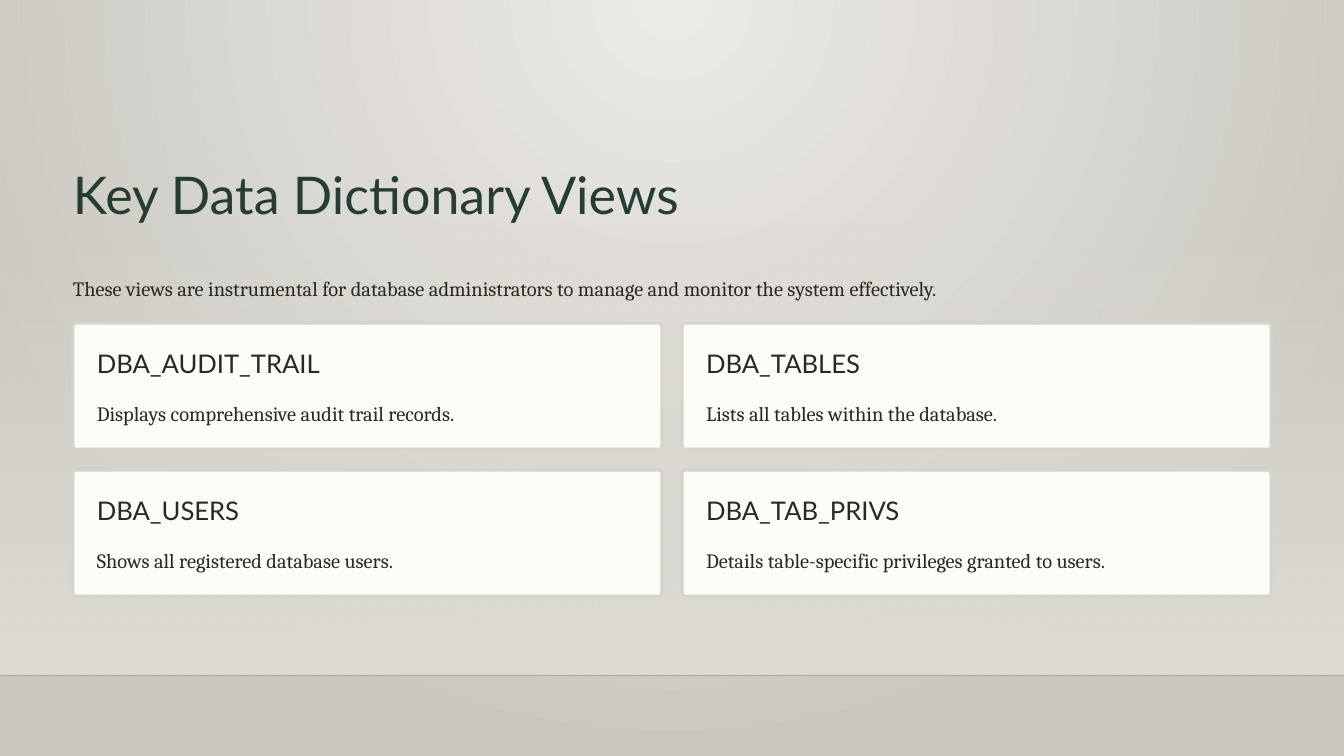
from pptx import Presentation
from pptx.dml.color import RGBColor
from pptx.enum.shapes import MSO_CONNECTOR, MSO_SHAPE
from pptx.oxml.ns import qn
from pptx.util import Pt
from lxml.etree import SubElement

TITLE = "Key Data Dictionary Views"
INTRO = (
    "These views are instrumental for database administrators "
    "to manage and monitor the system effectively."
)
VIEWS = [
    ("DBA_AUDIT_TRAIL", "Displays comprehensive audit trail records."),
    ("DBA_TABLES", "Lists all tables within the database."),
    ("DBA_USERS", "Shows all registered database users."),
    ("DBA_TAB_PRIVS", "Details table-specific privileges granted to users."),
]

THEME = {
    "glow": ("ECEAE7", "CAC7C1"),
    "wall": ("DFDBD5", "DFDBD5"),
    "floor_line": "000001",
    "card": "FCFBF8",
    "card_line": "D6D3CC",
    "title": {"font": "Lato", "size": 44.5, "leading": 55.5, "color": "233E32"},
    "heading": {"font": "Lato", "size": 22, "leading": 27.5, "color": "2C2821"},
    "body": {"font": "Cambria", "size": 17.5, "leading": 28.5, "color": "2C2821"},
}

SLIDE_WIDTH, SLIDE_HEIGHT = 1152, 648
MARGIN = 62.5
CONTENT_WIDTH = SLIDE_WIDTH - 2 * MARGIN
WALL_TOP, FLOOR_TOP = 191, 579
COLUMNS = 2
CARD_TOP, CARD_HEIGHT = 277, 108
GAP_X, GAP_Y = 17.5, 18
CARD_WIDTH = (CONTENT_WIDTH - GAP_X) / COLUMNS
PADDING = 20.5


def color(code):
    return RGBColor.from_string(code)


def set_gradient(fill, codes):
    fill.gradient()
    for stop, code, position in zip(fill.gradient_stops, codes, (0, 1)):
        stop.color.rgb = color(code)
        stop.position = position


def set_alpha(color_element, percent):
    SubElement(color_element, qn("a:alpha"), val=str(percent * 1000))


def paint_background(slide):
    set_gradient(slide.background.fill, THEME["glow"])
    gradient = slide.element.find(".//" + qn("a:gradFill"))
    gradient.remove(gradient.find(qn("a:lin")))
    circle = SubElement(gradient, qn("a:path"), path="circle")
    SubElement(circle, qn("a:fillToRect"), l="43000", t="0", r="43000", b="100000")


def add_room(slide):
    wall = slide.shapes.add_shape(
        MSO_SHAPE.RECTANGLE, 0, Pt(WALL_TOP), Pt(SLIDE_WIDTH), Pt(FLOOR_TOP - WALL_TOP)
    )
    wall.shadow.inherit = False
    wall.line.fill.background()
    set_gradient(wall.fill, THEME["wall"])
    wall.fill.gradient_angle = 270
    set_alpha(wall.element.find(".//" + qn("a:srgbClr")), 0)

    edge = slide.shapes.add_connector(
        MSO_CONNECTOR.STRAIGHT, 0, Pt(FLOOR_TOP), Pt(SLIDE_WIDTH), Pt(FLOOR_TOP)
    )
    edge.line.color.rgb = color(THEME["floor_line"])
    edge.line.width = Pt(1)
    set_alpha(edge.element.find(".//" + qn("a:srgbClr")), 20)
    SubElement(edge.element.spPr, qn("a:effectLst"))


def add_text(slide, text, style_name, left, top, width):
    style = THEME[style_name]
    box = slide.shapes.add_textbox(Pt(left), Pt(top), Pt(width), Pt(style["leading"]))
    frame = box.text_frame
    frame.margin_left = frame.margin_right = frame.margin_top = frame.margin_bottom = 0
    frame.word_wrap = False
    frame.text = text
    paragraph = frame.paragraphs[0]
    paragraph.line_spacing = Pt(style["leading"])
    font = paragraph.runs[0].font
    font.name = style["font"]
    font.size = Pt(style["size"])
    font.color.rgb = color(style["color"])


def add_card(slide, heading, description, left, top):
    card = slide.shapes.add_shape(
        MSO_SHAPE.ROUNDED_RECTANGLE, Pt(left), Pt(top), Pt(CARD_WIDTH), Pt(CARD_HEIGHT)
    )
    card.adjustments[0] = 0.025
    card.shadow.inherit = False
    card.fill.solid()
    card.fill.fore_color.rgb = color(THEME["card"])
    card.line.color.rgb = color(THEME["card_line"])
    card.line.width = Pt(2.4)
    text_width = CARD_WIDTH - 2 * PADDING
    add_text(slide, heading, "heading", left + PADDING, top + PADDING, text_width)
    add_text(slide, description, "body", left + PADDING, top + 59, text_width)


def main():
    presentation = Presentation()
    presentation.slide_width = Pt(SLIDE_WIDTH)
    presentation.slide_height = Pt(SLIDE_HEIGHT)
    slide = presentation.slides.add_slide(presentation.slide_layouts[6])
    paint_background(slide)
    add_room(slide)
    add_text(slide, TITLE, "title", MARGIN, 137.5, 530.5)
    add_text(slide, INTRO, "body", MARGIN, 229, CONTENT_WIDTH)
    for index, (heading, description) in enumerate(VIEWS):
        row, column = divmod(index, COLUMNS)
        left = MARGIN + column * (CARD_WIDTH + GAP_X)
        top = CARD_TOP + row * (CARD_HEIGHT + GAP_Y)
        add_card(slide, heading, description, left, top)
    presentation.save("out.pptx")


if __name__ == "__main__":
    main()
